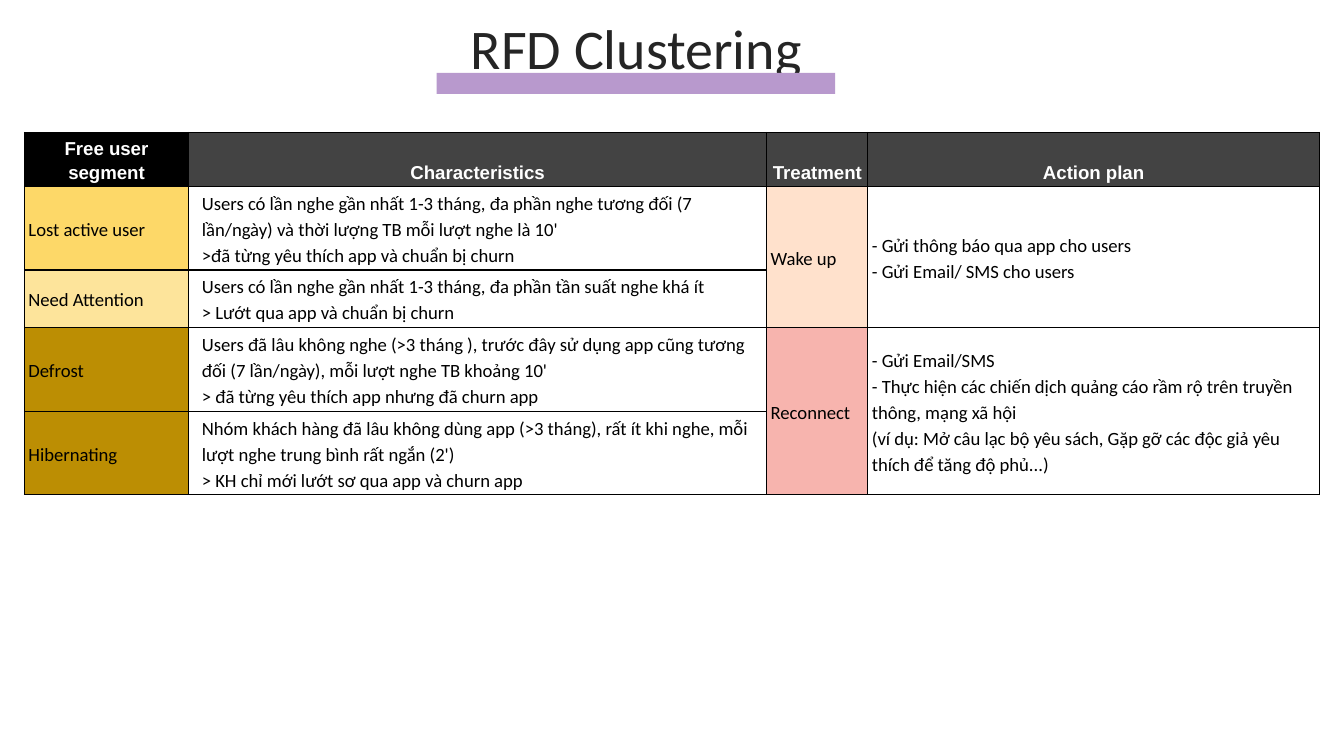
import pptx
import pptx.util
import pptx.dml.color
import pptx.enum.shapes
import pptx.enum.text
import pptx.oxml
import pptx.oxml.ns

Pt = pptx.util.Pt
ALIGN = pptx.enum.text.PP_ALIGN
ANCHOR = pptx.enum.text.MSO_ANCHOR

COLORS = {
    "title": "252525", "bar": "B899CD", "black": "000000", "white": "FFFFFF",
    "header": "434343", "lost": "FDD868", "attention": "FDE49B",
    "dormant": "BC8E03", "wake": "FFE1CC", "reconnect": "F7B4AE",
}


def color(name):
    return pptx.dml.color.RGBColor.from_string(COLORS[name])


def format_cell(cell, text, fill, font, anchor, align, side_margin):
    values = {"margin_left": Pt(side_margin), "margin_right": Pt(side_margin),
              "margin_top": Pt(1.44), "margin_bottom": Pt(1.44),
              "vertical_anchor": anchor}
    for name, value in values.items():
        setattr(cell, name, value)
    if fill:
        cell.fill.solid()
        cell.fill.fore_color.rgb = color(fill)
    else:
        cell.fill.background()
    cell.text_frame.text = text
    for paragraph in cell.text_frame.paragraphs:
        paragraph.alignment = align
        paragraph.line_spacing = 1.15
        for run in paragraph.runs:
            for name, value in font.items():
                setattr(run.font, name, value)
            run.font.color.rgb = color("white" if font["bold"] else "black")


presentation = pptx.Presentation()
presentation.slide_width = Pt(720)
presentation.slide_height = Pt(405)
slide = presentation.slides.add_slide(presentation.slide_layouts[5])

# Title
title = slide.shapes.title
for name, value in {"left": 5.4, "top": 0, "width": 671, "height": 45.4}.items():
    setattr(title, name, Pt(value))
frame = title.text_frame
frame.text = "RFD Clustering"
frame.vertical_anchor = ANCHOR.TOP
frame.auto_size = pptx.enum.text.MSO_AUTO_SIZE.NONE
for side in ("left", "right", "top", "bottom"):
    setattr(frame, f"margin_{side}", Pt(7.2))
frame.paragraphs[0].alignment = ALIGN.CENTER
title_font = frame.paragraphs[0].runs[0].font
for name, value in {"name": "Calibri", "size": Pt(30)}.items():
    setattr(title_font, name, value)
title_font.color.rgb = color("title")

# Bar under the title
bar = slide.shapes.add_shape(pptx.enum.shapes.MSO_SHAPE.RECTANGLE,
                             Pt(234), Pt(39), Pt(213.4), Pt(11.4))
bar.shadow.inherit = False
bar.fill.solid()
bar.fill.fore_color.rgb = color("bar")
bar.line.fill.background()

# Table grid: four blocks of narrow columns, merged into one cell per block
narrow = 44.1
widths = [87.9, *[narrow] * 3, 89.4, *[narrow] * 2, 54.2, 65.5, *[narrow] * 4]
heights = [28.9, 44.8, 30.8, 44.8, 44.9]
block_starts = [0, 1, 7, 8]
block_ends = [0, 6, 7, 12]
table = slide.shapes.add_table(len(heights), len(widths), Pt(13.1), Pt(71),
                               Pt(sum(widths)), Pt(sum(heights))).table
table.horz_banding = False
for column, width in zip(table.columns, widths):
    column.width = Pt(width)
for row, height in zip(table.rows, heights):
    row.height = Pt(height)
for block, (start, end) in enumerate(zip(block_starts, block_ends)):
    row_spans = [(0, 0), (1, 2), (3, 4)] if block > 1 else [(r, r) for r in range(5)]
    for top, bottom in row_spans:
        if (top, start) != (bottom, end):
            table.cell(top, start).merge(table.cell(bottom, end))

# Header row
header_font = {"name": "Arial", "size": Pt(10), "bold": True}
headers = ["Free user segment", "Characteristics", "Treatment", "Action plan"]
for start, text in zip(block_starts, headers):
    format_cell(table.cell(0, start), text, "header" if start else "black",
                header_font, ANCHOR.BOTTOM if start else ANCHOR.TOP,
                ALIGN.CENTER, 2.16)

# Body cells: row, block, fill, text
body = [
    (1, 0, "lost", "Lost active user"),
    (1, 1, None, "Users có lần nghe gần nhất 1-3 tháng, đa phần nghe tương đối "
     "(7 lần/ngày) và thời lượng TB mỗi lượt nghe là 10'\n"
     ">đã từng yêu thích app và chuẩn bị churn"),
    (1, 2, "wake", "Wake up"),
    (1, 3, None, "- Gửi thông báo qua app cho users\n- Gửi Email/ SMS cho users"),
    (2, 0, "attention", "Need Attention"),
    (2, 1, None, "Users có lần nghe gần nhất 1-3 tháng, đa phần tần suất nghe khá ít\n"
     "> Lướt qua app và chuẩn bị churn"),
    (3, 0, "dormant", "Defrost"),
    (3, 1, "white", "Users đã lâu không nghe (>3 tháng ), trước đây sử dụng app cũng "
     "tương đối (7 lần/ngày), mỗi lượt nghe TB khoảng 10'\n"
     "> đã từng yêu thích app nhưng đã churn app"),
    (3, 2, "reconnect", "Reconnect"),
    (3, 3, None, "- Gửi Email/SMS\n"
     "- Thực hiện các chiến dịch quảng cáo rầm rộ trên truyền thông, mạng xã hội\n"
     "(ví dụ: Mở câu lạc bộ yêu sách, Gặp gỡ các độc giả yêu thích để tăng độ phủ...)"),
    (4, 0, "dormant", "Hibernating"),
    (4, 1, None, "Nhóm khách hàng đã lâu không dùng app (>3 tháng), rất ít khi nghe, "
     "mỗi lượt nghe trung bình rất ngắn (2')\n"
     "> KH chỉ mới lướt sơ qua app và churn app"),
]
body_font = {"name": "Calibri", "size": Pt(10), "bold": False}
for row, block, fill, text in body:
    format_cell(table.cell(row, block_starts[block]), text, fill, body_font,
                ANCHOR.MIDDLE, ALIGN.LEFT, 7.2 if block == 1 else 2.16)

# Cell borders, placed ahead of the fill
for cell in table.iter_cells():
    properties = cell._tc.get_or_add_tcPr()
    for index, edge in enumerate(("lnL", "lnR", "lnT", "lnB")):
        properties.insert(index, pptx.oxml.parse_xml(
            f'<a:{edge} {pptx.oxml.ns.nsdecls("a")} w="{Pt(0.75)}"><a:solidFill>'
            f'<a:srgbClr val="{COLORS["black"]}"/></a:solidFill></a:{edge}>'))

presentation.save("out.pptx")
